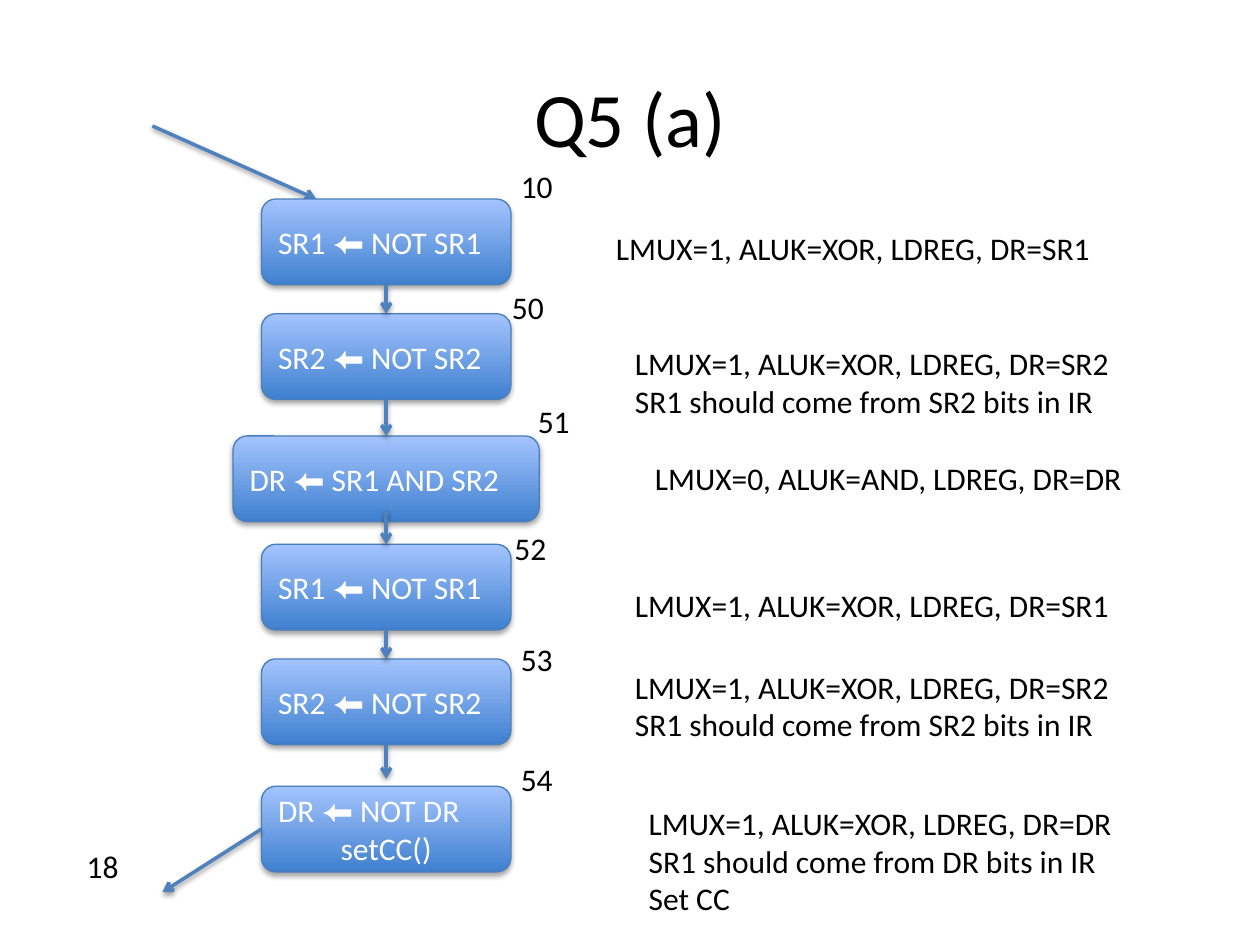
from collections import namedtuple
from lxml import etree
from pptx import Presentation
from pptx.dml.color import RGBColor
from pptx.enum.shapes import MSO_CONNECTOR as Connector, MSO_SHAPE as Shape
from pptx.enum.text import MSO_ANCHOR as Anchor, MSO_AUTO_SIZE as AutoSize, PP_ALIGN as Align
from pptx.oxml import parse_xml
from pptx.oxml.ns import qn
from pptx.util import Inches, Pt

Box = namedtuple("Box", "left top width height")
Step = namedtuple("Step", "lines top width number number_dx number_dy")

FONT = "Calibri"
DRAWING_NS = "http://schemas.openxmlformats.org/drawingml/2006/main"
TOUCHING = 0.04
STEP_HEIGHT = 0.68

STEPS = [
    Step(["SR1 ⬅ NOT SR1"], 0, 1.98, "10", -0.02, -0.30),
    Step(["SR2 ⬅ NOT SR2"], 0.91, 1.98, "50", -0.09, -0.25),
    Step(["DR ⬅ SR1 AND SR2"], 1.88, 2.43, "51", -0.11, -0.32),
    Step(["SR1 ⬅ NOT SR1"], 2.74, 1.98, "52", -0.07, -0.17),
    Step(["SR2 ⬅ NOT SR2"], 3.65, 1.98, "53", -0.02, -0.20),
    Step(["DR ⬅ NOT DR", "setCC()"], 4.66, 1.98, "54", -0.02, -0.26),
]
ARROW_SPANS = [(0.65, 0.91), (1.59, 1.86), (2.47, 2.74), (3.39, 3.65), (4.33, 4.60)]

XOR_SR1 = ["LMUX=1, ALUK=XOR, LDREG, DR=SR1"]
XOR_SR2 = ["LMUX=1, ALUK=XOR, LDREG, DR=SR2", "SR1 should come from SR2 bits in IR"]
AND_DR = ["LMUX=0, ALUK=AND, LDREG, DR=DR"]
XOR_DR = ["LMUX=1, ALUK=XOR, LDREG, DR=DR", "SR1 should come from DR bits in IR", "Set CC"]
SIGNALS = [
    (XOR_SR1, 0, 0, 4.02),
    (XOR_SR2, 0.15, 0.91, 4.02),
    (AND_DR, 0.31, 1.82, 3.96),
    (XOR_SR1, 0.15, 2.83, 4.02),
    (XOR_SR2, 0.15, 3.48, 4.02),
    (XOR_DR, 0.26, 4.56, 3.93),
]


def color(value):
    return RGBColor.from_string(value)


def add_shadow(shape, distance, opacity):
    shape._element.spPr.append(parse_xml(
        f'<a:effectLst xmlns:a="{DRAWING_NS}">'
        f'<a:outerShdw blurRad="{Pt(3.1)}" dist="{Pt(distance)}" dir="5400000" rotWithShape="0">'
        f'<a:srgbClr val="000000"><a:alpha val="{opacity * 1000}"/></a:srgbClr>'
        '</a:outerShdw></a:effectLst>'))


def write(frame, lines, text_color, size=18):
    frame.text = "\n".join(lines)
    for para in frame.paragraphs:
        for span in para.runs:
            span.font.name = FONT
            span.font.size = Pt(size)
            span.font.color.rgb = color(text_color)


def place(shape, box):
    shape.left, shape.top, shape.width, shape.height = map(Inches, box)


def add_label(page, lines, left, top, width):
    height = 0.1 + 0.3 * len(lines)
    label = page.shapes.add_textbox(*map(Inches, (left, top, width, height)))
    label.text_frame.word_wrap = False
    label.text_frame.auto_size = AutoSize.SHAPE_TO_FIT_TEXT
    write(label.text_frame, lines, "000000")


def add_arrow(page, start, end):
    arrow = page.shapes.add_connector(Connector.STRAIGHT, *map(Inches, (*start, *end)))
    arrow.line.color.rgb = color("4F81BD")
    arrow.line.width = Pt(2)
    etree.SubElement(arrow.line._get_or_add_ln(), qn("a:tailEnd"), type="arrow")
    add_shadow(arrow, 1.6, 38)
    return arrow


def add_step(page, step, box):
    left = box.left + (box.width - step.width) / 2
    top = box.top + step.top
    shape = page.shapes.add_shape(
        Shape.ROUNDED_RECTANGLE, *map(Inches, (left, top, step.width, STEP_HEIGHT)))
    shape.fill.gradient()
    shape.fill.gradient_angle = 90
    for stop, position, value in zip(shape.fill.gradient_stops, (0, 1), ("3F80CE", "A4C4FF")):
        stop.position = position
        stop.color.rgb = color(value)
    shape.line.color.rgb = color("4B7EBC")
    shape.line.width = Pt(0.75)
    add_shadow(shape, 1.8, 35)
    frame = shape.text_frame
    frame.vertical_anchor = Anchor.MIDDLE
    write(frame, step.lines, "FFFFFF")
    for index, para in enumerate(frame.paragraphs):
        para.alignment = Align.CENTER if index else Align.LEFT
    add_label(page, [step.number], left + step.width + step.number_dx, top + step.number_dy, 0.46)
    return shape


def add_title(page, box):
    title = page.shapes.title
    place(title, box)
    title.text_frame.vertical_anchor = Anchor.MIDDLE
    write(title.text_frame, ["Q5 (a)"], "000000", 44)
    title.text_frame.paragraphs[0].alignment = Align.CENTER


def add_flow(page, box):
    add_arrow(page, (box.left - 0.64, box.top - 0.58), (box.left + 0.66, box.top))
    shapes = [add_step(page, step, box) for step in STEPS]
    center = box.left + box.width / 2
    for index, (start, end) in enumerate(ARROW_SPANS):
        arrow = add_arrow(page, (center, box.top + start), (center, box.top + end))
        if abs(STEPS[index].top + STEP_HEIGHT - start) < TOUCHING:
            arrow.begin_connect(shapes[index], 2)
        if abs(STEPS[index + 1].top - end) < TOUCHING:
            arrow.end_connect(shapes[index + 1], 0)
    leaving = add_arrow(page, (box.left + 0.22, box.top + 5), (box.left - 0.56, box.top + 5.5))
    leaving.begin_connect(shapes[-1], 1)
    add_label(page, ["18"], box.left - 1.26, box.top + 5.09, 0.46)


def add_signals(page, box):
    for lines, dx, dy, width in SIGNALS:
        add_label(page, lines, box.left + dx, box.top + dy, width)


def main():
    deck = Presentation()
    deck.slide_width, deck.slide_height = Inches(10), Inches(7.5)
    page = deck.slides.add_slide(deck.slide_layouts[5])
    add_title(page, Box(0.5, 0.3, 9, 1.25))
    add_flow(page, Box(1.85, 1.58, 2.43, 5.34))
    add_signals(page, Box(4.79, 1.77, 4.27, 5.57))
    deck.save("out.pptx")


if __name__ == "__main__":
    main()
